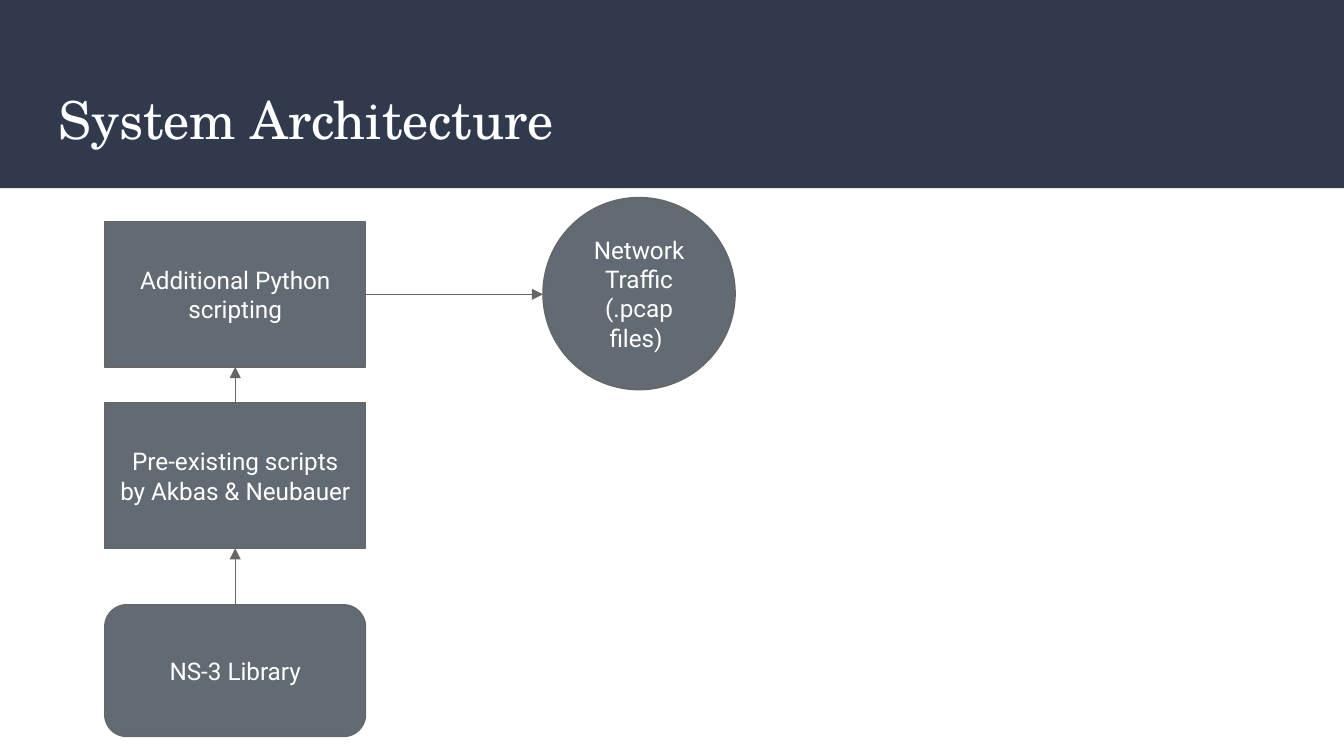
from lxml import etree
from pptx import Presentation
from pptx.dml.color import RGBColor
from pptx.enum.shapes import MSO_CONNECTOR, MSO_SHAPE
from pptx.enum.text import MSO_ANCHOR, PP_ALIGN
from pptx.oxml.ns import qn
from pptx.util import Inches, Pt

NAVY = RGBColor(0x31, 0x39, 0x4D)
SLATE = RGBColor(0x62, 0x6B, 0x73)
GRAY = RGBColor(0x66, 0x66, 0x66)
WHITE = RGBColor(0xFF, 0xFF, 0xFF)

# Widescreen slide, 16:9
deck = Presentation()
deck.slide_width = Inches(10)
deck.slide_height = Inches(10) * 9 // 16
slide = deck.slides.add_slide(deck.slide_layouts[6])
shapes = slide.shapes


def write(shape, text, font, size, align, anchor):
    frame = shape.text_frame
    frame.word_wrap = True
    frame.vertical_anchor = anchor
    frame.margin_left = frame.margin_right = Inches(0.1)
    frame.margin_top = frame.margin_bottom = Inches(0.1)
    para = frame.paragraphs[0]
    para.alignment = align
    run = para.add_run()
    run.text = text
    run.font.name = font
    run.font.size = Pt(size)
    run.font.color.rgb = WHITE


# Header band and title
band = shapes.add_shape(MSO_SHAPE.RECTANGLE, 0, 0, deck.slide_width, Inches(1.4))
band.shadow.inherit = False
band.fill.solid()
band.fill.fore_color.rgb = NAVY
band.line.fill.background()

title = shapes.add_textbox(Inches(0.34), Inches(0.55), Inches(9.32), Inches(0.68))
write(title, "System Architecture", "TeX Gyre Schola", 28, PP_ALIGN.LEFT, MSO_ANCHOR.TOP)

# Nodes: kind, left, top, width, height, text
nodes = [
    (MSO_SHAPE.RECTANGLE, 0.78, 1.65, 1.94, 1.08, "Additional Python scripting"),
    (MSO_SHAPE.RECTANGLE, 0.78, 3, 1.94, 1.08, "Pre-existing scripts by Akbas & Neubauer"),
    (MSO_SHAPE.ROUNDED_RECTANGLE, 0.78, 4.5, 1.94, 0.98, "NS-3 Library"),
    (MSO_SHAPE.OVAL, 4.04, 1.47, 1.43, 1.43, "Network Traffic (.pcap files) "),
]
drawn = []
for kind, left, top, width, height, text in nodes:
    node = shapes.add_shape(kind, Inches(left), Inches(top), Inches(width), Inches(height))
    node.shadow.inherit = False
    node.fill.solid()
    node.fill.fore_color.rgb = SLATE
    node.line.color.rgb = GRAY
    node.line.width = Pt(0.75)
    write(node, text, "Roboto", 13, PP_ALIGN.CENTER, MSO_ANCHOR.MIDDLE)
    drawn.append(node)
extra, prior, base, traffic = drawn

# Arrows: start node and side, end node and side
# The circle's left point is set by place, as its sites are numbered differently
mid = extra.top + extra.height // 2
links = [(base, 0, prior, 2), (prior, 0, extra, 2), (extra, 3, None, None)]
for start, side, end, goal in links:
    arrow = shapes.add_connector(MSO_CONNECTOR.STRAIGHT, 0, 0, traffic.left, mid)
    arrow.begin_connect(start, side)
    if end is not None:
        arrow.end_connect(end, goal)
    arrow.line.color.rgb = GRAY
    arrow.line.width = Pt(0.75)
    tail = etree.SubElement(arrow.line._get_or_add_ln(), qn("a:tailEnd"))
    tail.set("type", "triangle")
    etree.SubElement(arrow._element.spPr, qn("a:effectLst"))

deck.save("out.pptx")
